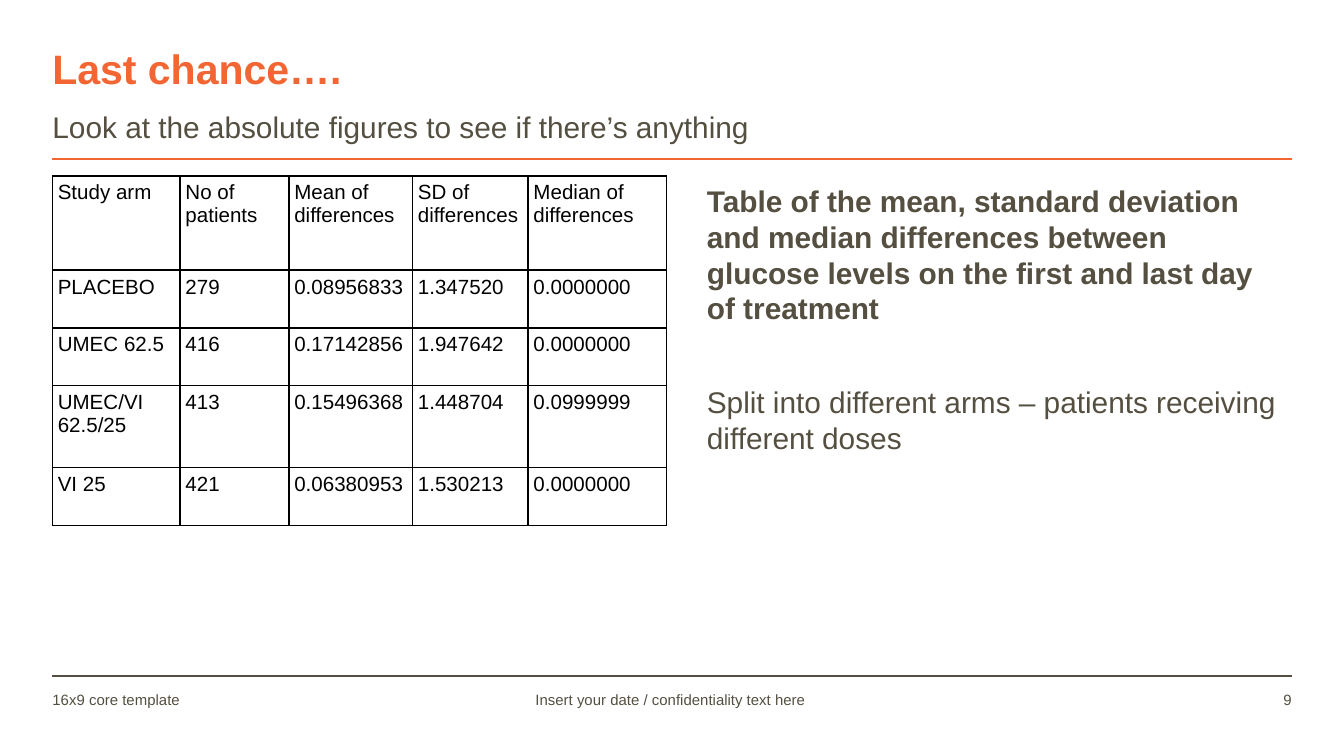
from lxml import etree
from pptx import Presentation
from pptx.dml.color import RGBColor
from pptx.enum.shapes import MSO_CONNECTOR
from pptx.enum.text import MSO_ANCHOR, PP_ALIGN
from pptx.oxml.ns import qn
from pptx.util import Inches, Pt

LEFT, CENTER, RIGHT = PP_ALIGN.LEFT, PP_ALIGN.CENTER, PP_ALIGN.RIGHT
TOP, MIDDLE = MSO_ANCHOR.TOP, MSO_ANCHOR.MIDDLE
STRAIGHT = MSO_CONNECTOR.STRAIGHT

ORANGE = RGBColor(0xF3, 0x66, 0x33)
OLIVE = RGBColor(0x54, 0x4F, 0x40)
BLACK = RGBColor(0, 0, 0)
FONT = "Arial"

TITLE = "Last chance…."
SUBTITLE = "Look at the absolute figures to see if there’s anything"
SUMMARY = ("Table of the mean, standard deviation and median differences between "
           "glucose levels on the first and last day of treatment")
DETAIL = "Split into different arms – patients receiving different doses"
STUDY_ROWS = [
    ("Study arm", "No of patients", "Mean of differences",
     "SD of\ndifferences", "Median of\ndifferences"),
    ("PLACEBO", "279", "0.08956833", "1.347520", "0.0000000"),
    ("UMEC 62.5", "416", "0.17142856", "1.947642", "0.0000000"),
    ("UMEC/VI 62.5/25", "413", "0.15496368", "1.448704", "0.0999999"),
    ("VI 25", "421", "0.06380953", "1.530213", "0.0000000"),
]
COLUMN_WIDTHS = [0.95, 0.81, 0.92, 0.86, 1.03]
ROW_HEIGHTS = [0.7, 0.43, 0.43, 0.61, 0.43]

WIDTH = 10
HEIGHT = WIDTH * 9 / 16
MARGIN = 0.39
RIGHT_EDGE = WIDTH - MARGIN
HEADING_WIDTH = 8.29
CONTENT_TOP = 1.31
BODY_LEFT = 5.26
FOOTER_TOP, FOOTER_HEIGHT = 5.14, 0.3
BODY_INSETS = (0, 0.05, 0.1, 0.05)
CELL_INSET = 0.04

# text, left, width, alignment, insets
FOOTERS = [
    ("16x9 core template", MARGIN, 2.81, LEFT, (0, 0, 0, 0)),
    ("Insert your date / confidentiality text here", 3.26, 3.46, CENTER, (0.08, 0, 0.08, 0)),
    ("9", RIGHT_EDGE - 0.91, 0.91, RIGHT, (0.08, 0, 0, 0)),
]


def write(para, text, size=16, color=OLIVE, bold=False, align=LEFT, after=0):
    para.alignment = align
    para.space_after = Pt(after)
    span = para.add_run()
    span.text = text
    span.font.name = FONT
    span.font.size = Pt(size)
    span.font.bold = bold
    span.font.color.rgb = color


def add_box(page, left, top, width, height, insets=(0, 0, 0, 0), anchor=TOP):
    frame = page.shapes.add_textbox(
        Inches(left), Inches(top), Inches(width), Inches(height)).text_frame
    frame.word_wrap = True
    frame.vertical_anchor = anchor
    (frame.margin_left, frame.margin_top,
     frame.margin_right, frame.margin_bottom) = map(Inches, insets)
    return frame


def add_rule(page, top, color):
    """Draw a horizontal line from margin to margin."""
    rule = page.shapes.add_connector(
        STRAIGHT, Inches(MARGIN), Inches(top), Inches(RIGHT_EDGE), Inches(top))
    rule.line.color.rgb = color
    rule.line.width = Pt(1)
    etree.SubElement(rule._element.spPr, qn("a:effectLst"))


def add_borders(cell):
    properties = cell._tc.get_or_add_tcPr()
    for position, side in enumerate(("lnL", "lnR", "lnT", "lnB")):
        border = etree.Element(qn("a:" + side), w=str(Pt(1)))
        fill = etree.SubElement(border, qn("a:solidFill"))
        etree.SubElement(fill, qn("a:srgbClr"), val=str(BLACK))
        properties.insert(position, border)


def add_study_table(page):
    table = page.shapes.add_table(
        len(ROW_HEIGHTS), len(COLUMN_WIDTHS), Inches(MARGIN), Inches(CONTENT_TOP),
        Inches(sum(COLUMN_WIDTHS)), Inches(sum(ROW_HEIGHTS))).table
    table.first_row = table.horz_banding = False
    for column, width in zip(table.columns, COLUMN_WIDTHS):
        column.width = Inches(width)
    for row, height, texts in zip(table.rows, ROW_HEIGHTS, STUDY_ROWS):
        row.height = Inches(height)
        for cell, text in zip(row.cells, texts):
            cell.margin_left = cell.margin_right = Inches(CELL_INSET)
            cell.margin_top = cell.margin_bottom = Inches(CELL_INSET)
            cell.fill.background()
            add_borders(cell)
            frame = cell.text_frame
            for number, line in enumerate(text.split("\n")):
                para = frame.add_paragraph() if number else frame.paragraphs[0]
                write(para, line, size=11, color=BLACK)


def main():
    deck = Presentation()
    deck.slide_width, deck.slide_height = Inches(WIDTH), Inches(HEIGHT)
    page = deck.slides.add_slide(deck.slide_layouts[6])

    add_rule(page, 5.03, OLIVE)
    add_rule(page, 1.18, ORANGE)

    title = add_box(page, MARGIN, 0.32, HEADING_WIDTH, 0.37, anchor=MIDDLE)
    write(title.paragraphs[0], TITLE, size=22, color=ORANGE, bold=True)
    subtitle = add_box(page, MARGIN, 0.76, HEADING_WIDTH, 0.3, BODY_INSETS)
    write(subtitle.paragraphs[0], SUBTITLE)

    body = add_box(page, BODY_LEFT, CONTENT_TOP, RIGHT_EDGE - BODY_LEFT, 3.35, BODY_INSETS)
    write(body.paragraphs[0], SUMMARY, bold=True, after=31)
    write(body.add_paragraph(), DETAIL, after=6)

    for text, left, width, align, insets in FOOTERS:
        footer = add_box(page, left, FOOTER_TOP, width, FOOTER_HEIGHT, insets)
        write(footer.paragraphs[0], text, size=8, align=align)

    add_study_table(page)
    deck.save("out.pptx")


if __name__ == "__main__":
    main()
